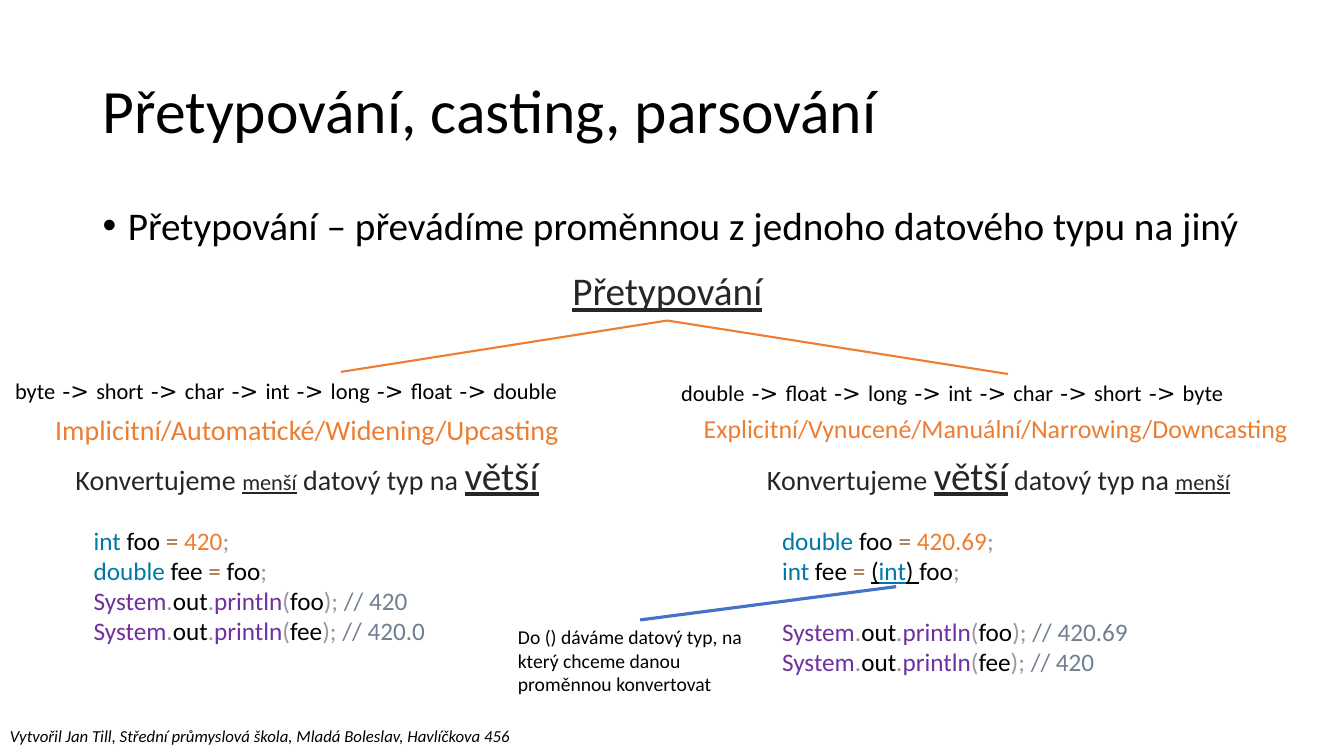
from pptx import Presentation
from pptx.dml.color import RGBColor
from pptx.enum.shapes import MSO_CONNECTOR as Connector
from pptx.enum.text import MSO_ANCHOR as Anchor, PP_ALIGN as Align
from pptx.oxml.ns import qn
from pptx.util import Inches, Pt
from lxml.etree import SubElement

BLACK, DARK, ORANGE, BLUE = "000000", "262626", "ED7D31", "4472C4"
THEME = {  # style: (size, colour, extra font values)
    "title": (44, BLACK, {}),
    "body": (28, BLACK, {}),
    "footer": (12, BLACK, {"italic": True}),
    "root": (28, DARK, {"underline": True}),
    "implicit": (20, ORANGE, {}),
    "explicit": (18.5, ORANGE, {}),
    "sentence": (20, DARK, {}),
    "smaller": (16, DARK, {"underline": True}),
    "bigger": (28, DARK, {"underline": True}),
    "note": (14, BLACK, {}),
    "type": (16, BLACK, {}),
    "arrow": (16, BLACK, {"name": "DejaVu Sans"}),
    "keyword": (18, "0077AA", {}),
    "plain": (18, BLACK, {}),
    "operator": (18, "9A6E3A", {}),
    "number": (18, ORANGE, {}),
    "mark": (18, "999999", {}),
    "call": (18, "7030A0", {}),
    "remark": (18, "708090", {}),
    "cast": (18, BLACK, {"underline": True}),
    "cast type": (18, "0077AA", {"underline": True}),
}

deck = Presentation()
deck.slide_width, deck.slide_height = Inches(13.33), Inches(7.5)
slide = deck.slides.add_slide(deck.slide_layouts[6])


def place(x, y):
    """Percent of the slide's width and height to slide lengths."""
    return int(deck.slide_width * x / 100), int(deck.slide_height * y / 100)


def add_text(x, y, width, height, lines, wrap=True, anchor=Anchor.TOP, **layout):
    """Each line is a list of (text, style); layout holds paragraph values."""
    frame = slide.shapes.add_textbox(*place(x, y), *place(width, height)).text_frame
    frame.word_wrap, frame.vertical_anchor = wrap, anchor
    for index, line in enumerate(lines):
        paragraph = frame.paragraphs[0] if index == 0 else frame.add_paragraph()
        for key, value in layout.items():
            setattr(paragraph, key, value)
        for text, style in line:
            run = paragraph.add_run()
            run.text = text
            size, colour, extra = THEME[style]
            run.font.color.rgb = RGBColor.from_string(colour)
            for key, value in {"name": "Calibri", "size": Pt(size), **extra}.items():
                setattr(run.font, key, value)
    return frame


# Title, definition and footer
add_text(6.9, 5.33, 86.25, 19.33, [[("Přetypování, casting, parsování", "title")]],
         anchor=Anchor.MIDDLE, line_spacing=0.9)
definition = add_text(
    6.9, 26.67, 86.25, 7.07,
    [[("Přetypování – převádíme proměnnou z jednoho datového typu na jiný", "body")]],
    line_spacing=0.9, space_before=Pt(10))
bullet = definition.paragraphs[0]._p.get_or_add_pPr()
bullet.set("marL", str(Inches(0.25)))
bullet.set("indent", str(-Inches(0.25)))
SubElement(bullet, qn("a:buFont")).set("typeface", "Arial")
SubElement(bullet, qn("a:buChar")).set("char", "•")
add_text(0, 95.33, 39.08, 4,
         [[("Vytvořil Jan Till, Střední průmyslová škola, Mladá Boleslav, Havlíčkova 456",
            "footer")]], wrap=False)

# Tree root, the two kinds of casting and what each one does
smaller, bigger = ("menší", "smaller"), ("větší", "bigger")
for x, y, width, height, line in [
    (36.83, 35.33, 25.65, 7.2, [("Přetypování", "root")]),
    (2.33, 54.4, 41.03, 5.47, [("Implicitní/Automatické/Widening/Upcasting", "implicit")]),
    (50.4, 54.4, 47.33, 7.2,
     [("Explicitní/Vynucené/Manuální/Narrowing/Downcasting", "explicit")]),
    *[(x, 59.73, 41.03, 7.2,
       [("Konvertujeme ", "sentence"), source, (" datový typ na ", "sentence"), target])
      for x, source, target in [(2.33, smaller, bigger), (53.78, bigger, smaller)]],
]:
    add_text(x, y, width, height, [line], alignment=Align.CENTER,
             line_spacing=0.9, space_before=Pt(10))

# Branches of the tree and pointer to the cast
for start, end, colour, weight in [
    ((49.65, 42.4), (25.35, 49.2), ORANGE, 1.5),
    ((49.65, 42.4), (75, 49.47), ORANGE, 1.5),
    ((66.68, 77.6), (47.63, 82), BLUE, 2.25),
]:
    branch = slide.shapes.add_connector(Connector.STRAIGHT, *place(*start), *place(*end))
    branch.line.color.rgb = RGBColor.from_string(colour)
    branch.line.width = Pt(weight)
    SubElement(branch._element.spPr, qn("a:effectLst"))

# Chains of types, widening and narrowing
types = ["byte", "short", "char", "int", "long", "float", "double"]
for x, y, order in [(0.38, 49.2, types), (49.95, 49.47, types[::-1])]:
    chain = [(order[0], "type")]
    for name in order[1:]:
        chain += [("\u00a0->\u00a0", "arrow"), (name, "type")]
    add_text(x, y, 50.03, 4.93, [chain])

# Code samples
widening = [
    [("int", "keyword"), (" foo ", "plain"), ("= ", "operator"), ("420", "number"),
     ("; ", "mark")],
    [("double", "keyword"), (" fee ", "plain"), ("=", "operator"), (" foo", "plain"),
     ("; ", "mark")],
]
narrowing = [
    [("double", "keyword"), (" foo ", "plain"), ("= ", "operator"), ("420.69", "number"),
     ("; ", "mark")],
    [("int", "keyword"), (" fee ", "plain"), ("= ", "operator"), ("(", "cast"),
     ("int", "cast type"), (") ", "cast"), ("foo", "plain"), (";", "mark")],
]
for x, height, code, outputs, gap in [
    (6.23, 17.47, widening, ("420", "420.0"), 0),
    (57.45, 21.6, narrowing, ("420.69", "420"), 22),
]:
    prints = [
        [("System", "call"), (".", "mark"), ("out", "plain"), (".", "mark"),
         ("println", "call"), ("(", "mark"), (variable, "plain"), ("); ", "mark"),
         (f"// {output}", "remark")]
        for variable, output in zip(("foo", "fee"), outputs)]
    sample = add_text(x, 68.8, 42.08, height, code + prints)
    sample.paragraphs[len(code)].space_before = Pt(gap)

# Note on the cast
add_text(37.8, 82, 19.65, 10.8,
         [[("Do () dáváme datový typ, na který chceme danou proměnnou konvertovat", "note")]])

deck.save("out.pptx")
